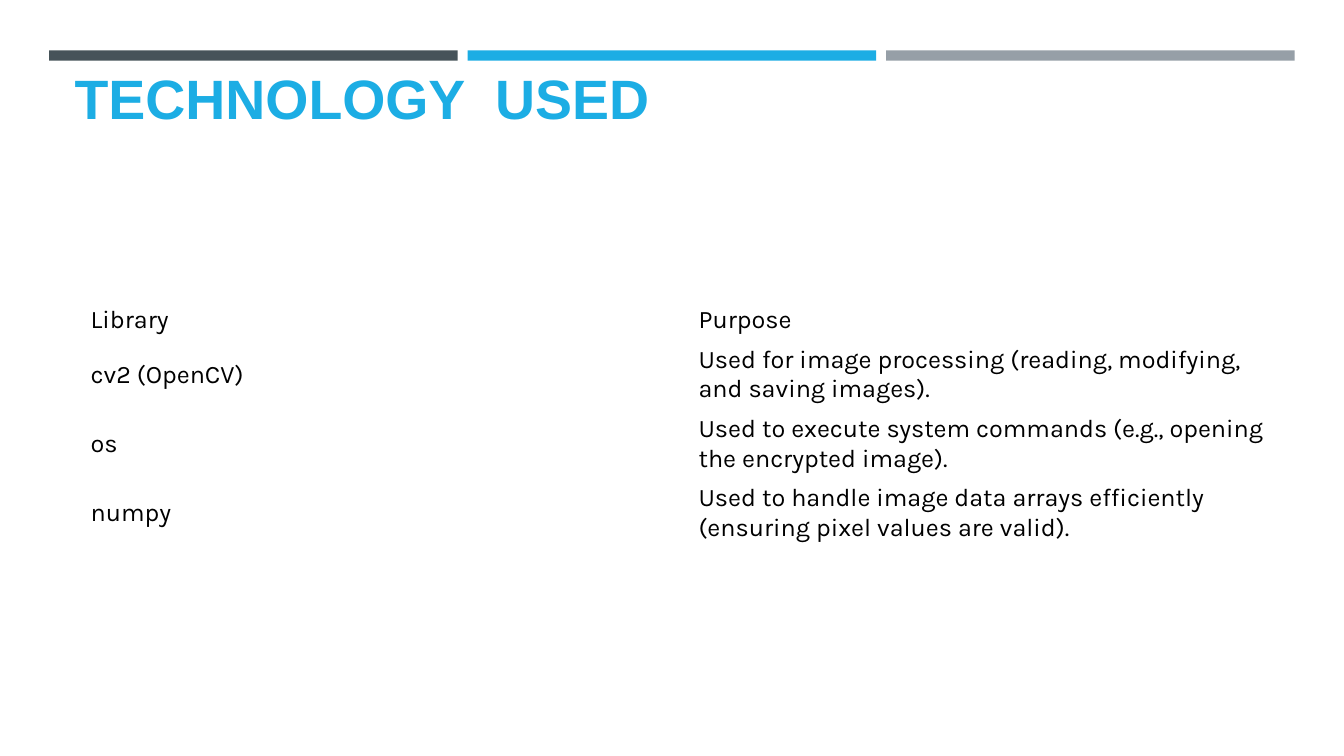
from typing import NamedTuple

from pptx import Presentation
from pptx.dml.color import RGBColor
from pptx.enum.shapes import MSO_SHAPE as Shape
from pptx.enum.text import MSO_ANCHOR as Anchor, PP_ALIGN as Align
from pptx.slide import Slide
from pptx.util import Pt

SLATE = RGBColor(0x46, 0x53, 0x59)
BLUE = RGBColor(0x1C, 0xAD, 0xE4)
GREY = RGBColor(0x96, 0x9F, 0xA7)
BLACK = RGBColor(0, 0, 0)

BAR_LEFT, BAR_TOP, BAR_WIDTH, BAR_HEIGHT, BAR_STEP = 35.2, 36, 291.8, 7.4, 298.9
TABLE_LEFT, TABLE_TOP, COLUMN_WIDTH = 57.6, 214.6, 434.2
HEADER_HEIGHT, ROW_HEIGHT = 28.3, 49.3


class Entry(NamedTuple):
    library: str
    purpose: str


ENTRIES = [
    Entry("Library", "Purpose"),
    Entry("cv2 (OpenCV)", "Used for image processing (reading, modifying, and saving images)."),
    Entry("os", "Used to execute system commands (e.g., opening the encrypted image)."),
    Entry("numpy", "Used to handle image data arrays efficiently (ensuring pixel values are valid)."),
]


def add_bars(page: Slide) -> None:
    for index, color in enumerate((SLATE, BLUE, GREY)):
        bar = page.shapes.add_shape(
            Shape.RECTANGLE, Pt(BAR_LEFT + index * BAR_STEP), Pt(BAR_TOP),
            Pt(BAR_WIDTH), Pt(BAR_HEIGHT))
        bar.shadow.inherit = False
        bar.fill.solid()
        bar.fill.fore_color.rgb = color
        bar.line.fill.background()


def set_title(page: Slide, text: str) -> None:
    title = page.shapes.title
    title.left, title.top, title.width, title.height = Pt(46.1), Pt(55.4), Pt(868.3), Pt(41.8)
    frame = title.text_frame
    frame.text = text
    frame.vertical_anchor = Anchor.BOTTOM
    para = frame.paragraphs[0]
    para.alignment = Align.LEFT
    font = para.font
    font.name, font.size, font.bold = "Arial", Pt(39.6), True
    font.color.rgb = BLUE


def add_library_table(page: Slide) -> None:
    height = HEADER_HEIGHT + ROW_HEIGHT * (len(ENTRIES) - 1)
    table = page.shapes.add_table(
        len(ENTRIES), 2, Pt(TABLE_LEFT), Pt(TABLE_TOP),
        Pt(2 * COLUMN_WIDTH), Pt(height)).table
    table.first_row = table.horz_banding = False
    for row_index, entry in enumerate(ENTRIES):
        row = table.rows[row_index]
        row.height = Pt(ROW_HEIGHT if row_index else HEADER_HEIGHT)
        for cell, text in zip(row.cells, entry):
            cell.text = text
            cell.vertical_anchor = Anchor.MIDDLE
            cell.fill.background()
            font = cell.text_frame.paragraphs[0].font
            font.name, font.size = "Karla", Pt(18)
            font.color.rgb = BLACK


def main() -> None:
    deck = Presentation()
    deck.slide_width, deck.slide_height = Pt(960), Pt(540)
    page = deck.slides.add_slide(deck.slide_layouts.get_by_name("Title Only"))
    add_bars(page)
    set_title(page, "TECHNOLOGY  USED")
    add_library_table(page)
    deck.save("out.pptx")


if __name__ == "__main__":
    main()
